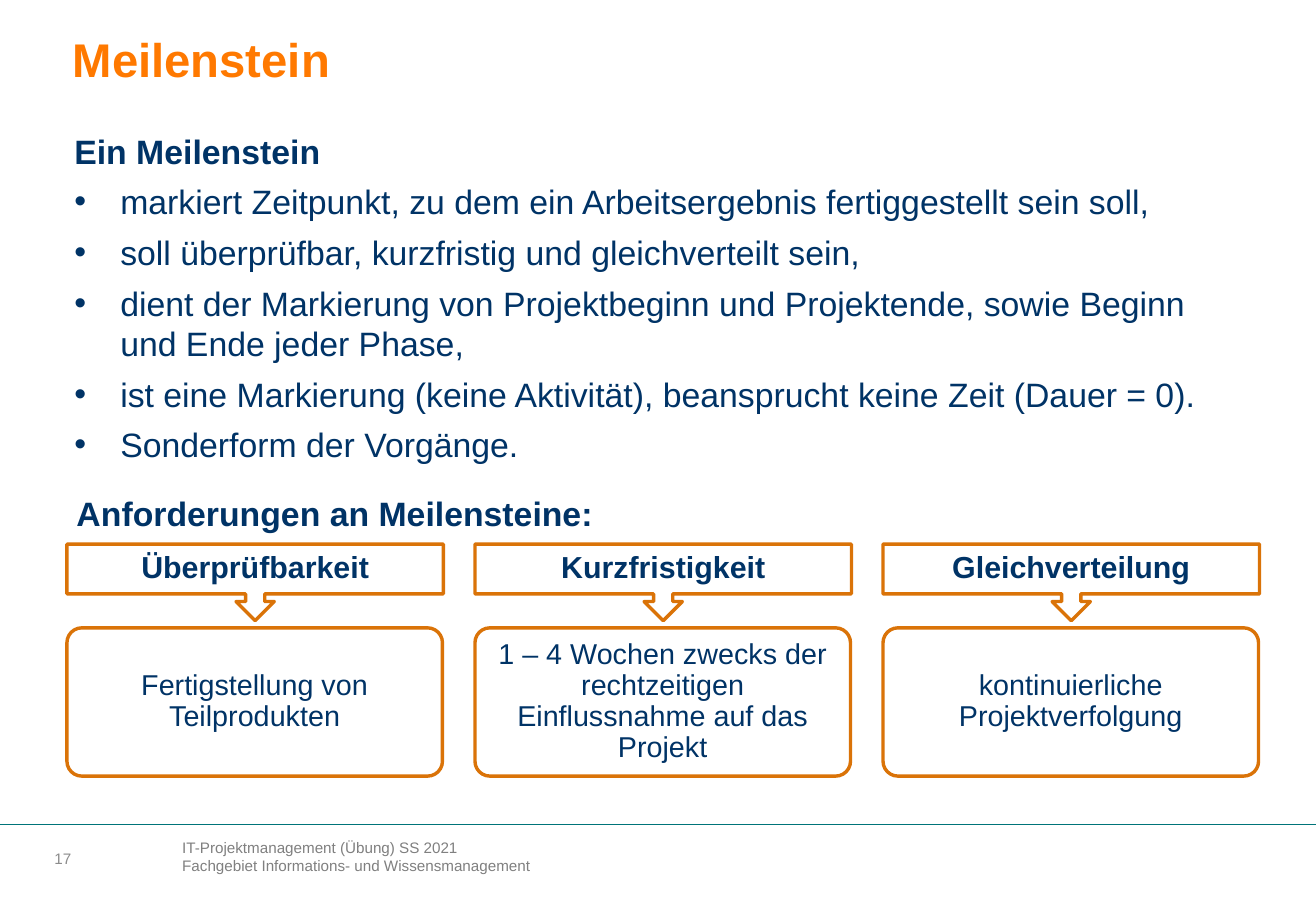
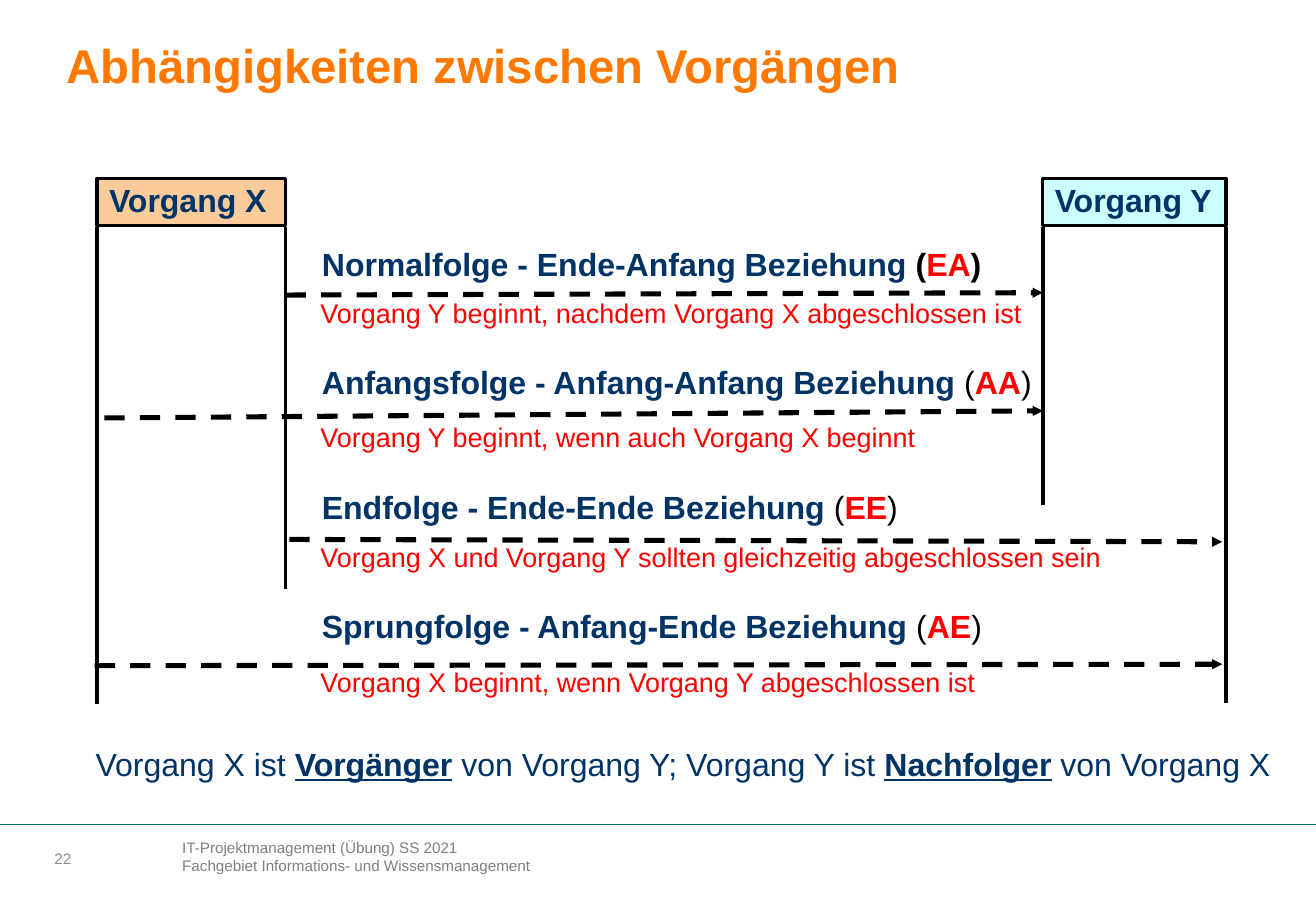
from dataclasses import dataclass

from lxml.etree import SubElement
from pptx import Presentation
from pptx.dml.color import RGBColor
from pptx.enum.dml import MSO_LINE
from pptx.enum.shapes import MSO_CONNECTOR, MSO_SHAPE
from pptx.enum.text import MSO_ANCHOR, MSO_AUTO_SIZE, PP_ALIGN
from pptx.oxml.ns import qn
from pptx.util import Cm, Pt

FONT = "Arial"
NAVY, ORANGE, RED, BLACK, WHITE = "003366", "FF7900", "FF0000", "000000", "FFFFFF"
FRAME_ORANGE, PEACH, CYAN = "DA7308", "FBCC9A", "CCFFFF"
TEAL, FOOTER_GREY, NUMBER_GREY = "007479", "808080", "8C8C8C"
SLIDE_WIDTH, SLIDE_HEIGHT = 27.51, 19.05


@dataclass
class Span:
    text: str
    color: str = NAVY
    bold: bool = False
    underline: bool = False


def rgb(value):
    return RGBColor.from_string(value)


def place(shape, left, top, width, height):
    shape.left, shape.top = Cm(left), Cm(top)
    shape.width, shape.height = Cm(width), Cm(height)


def write(para, spans, size, spacing=None):
    for span in spans:
        run = para.add_run()
        run.text = span.text
        font = run.font
        font.name, font.size, font.bold = FONT, Pt(size), span.bold
        font.underline = span.underline
        font.color.rgb = rgb(span.color)
    if spacing:
        para.line_spacing = spacing


def set_margins(frame, horizontal, vertical):
    frame.margin_left = frame.margin_right = Cm(horizontal)
    frame.margin_top = frame.margin_bottom = Cm(vertical)


def add_text(slide, area, spans, size, spacing=0.9):
    box = slide.shapes.add_textbox(*map(Cm, area))
    box.text_frame.word_wrap = True
    write(box.text_frame.paragraphs[0], spans, size, spacing)
    return box


def add_box(slide, preset, area, span, size, fill, line, margins, centred=True):
    box = slide.shapes.add_shape(preset, *map(Cm, area))
    box.shadow.inherit = False
    box.fill.solid()
    box.fill.fore_color.rgb = rgb(fill)
    box.line.color.rgb = rgb(line)
    box.line.width = Pt(2)
    frame = box.text_frame
    frame.word_wrap = True
    set_margins(frame, *margins)
    frame.vertical_anchor = MSO_ANCHOR.MIDDLE if centred else MSO_ANCHOR.TOP
    para = frame.paragraphs[0]
    para.alignment = PP_ALIGN.CENTER if centred else PP_ALIGN.LEFT
    write(para, [span], size, 0.9)
    return box


def add_line(slide, start, end, width, color=BLACK, arrow=False):
    """Draw a straight line; an arrow is dashed and has a head at its end."""
    line = slide.shapes.add_connector(
        MSO_CONNECTOR.STRAIGHT, *map(Cm, (*start, *end)))
    line.line.color.rgb = rgb(color)
    line.line.width = Pt(width)
    properties = line.element.spPr
    if arrow:
        line.line.dash_style = MSO_LINE.DASH
        SubElement(properties.find(qn("a:ln")), qn("a:tailEnd"),
                   type="triangle", w="sm", len="sm")
    SubElement(properties, qn("a:effectLst"))
    return line


def style_titles(master):
    style = master.element.find(".//" + qn("p:titleStyle")).find(qn("a:lvl1pPr"))
    style.set("algn", "l")
    defaults = style.find(qn("a:defRPr"))
    for child in list(defaults):
        defaults.remove(child)
    defaults.set("sz", "2800")
    defaults.set("b", "1")
    SubElement(SubElement(defaults, qn("a:solidFill")), qn("a:srgbClr"), val=ORANGE)
    SubElement(defaults, qn("a:latin"), typeface=FONT)


def add_master_footer(master, slide):
    """Draw the rule and footer on a slide, then move them to the master."""
    rule = add_line(slide, (0, 17.25), (SLIDE_WIDTH, 17.25), 0.5, TEAL)
    footer = add_text(slide, (3.56, 17.4, 15.3, 1.4),
                      [Span("IT-Projektmanagement (Übung) SS 2021", FOOTER_GREY)],
                      9, None)
    write(footer.text_frame.add_paragraph(),
          [Span("Fachgebiet Informations- und Wissensmanagement", FOOTER_GREY)], 9)
    for number, shape in enumerate((rule, footer), start=20):
        shape.element.find(".//" + qn("p:cNvPr")).set("id", str(number))
        master.shapes.element.append(shape.element)


def add_slide(deck, layout_name, title, left, top, number):
    slide = deck.slides.add_slide(deck.slide_layouts.get_by_name(layout_name))
    heading = slide.shapes.title
    place(heading, left, top, 25.5, 1.4)
    heading.text_frame.text = title
    heading.text_frame.auto_size = MSO_AUTO_SIZE.NONE
    page = add_text(slide, (1.14, 17.63, 1.83, 0.63),
                    [Span(number, NUMBER_GREY)], 9, None)
    set_margins(page.text_frame, 0, 0)
    page.text_frame.vertical_anchor = MSO_ANCHOR.MIDDLE
    return slide


def fill_body(body, heading, items):
    """Write a bold heading and the bulleted items below it."""
    place(body, 1.3, 2.6, 24.66, 7.3)
    frame = body.text_frame
    frame.auto_size = MSO_AUTO_SIZE.NONE
    for index, text in enumerate([heading, *items]):
        para = frame.add_paragraph() if index else frame.paragraphs[0]
        para.space_before = Pt(6 if index else 0)
        properties = para._p.get_or_add_pPr()
        indent = Cm(0.96) if index else 0
        properties.set("marL", str(indent))
        properties.set("indent", str(-indent))
        if index:
            SubElement(properties, qn("a:buFont"), typeface=FONT)
            SubElement(properties, qn("a:buChar"), char="•")
        else:
            SubElement(properties, qn("a:buNone"))
        write(para, [Span(text, bold=not index)], 20)


def fill_milestone(slide):
    fill_body(slide.placeholders[1], "Ein Meilenstein", [
        "markiert Zeitpunkt, zu dem ein Arbeitsergebnis fertiggestellt sein soll,",
        "soll überprüfbar, kurzfristig und gleichverteilt sein,",
        "dient der Markierung von Projektbeginn und Projektende, sowie Beginn "
        "und Ende jeder Phase,",
        "ist eine Markierung (keine Aktivität), beansprucht keine Zeit (Dauer = 0).",
        "Sonderform der Vorgänge.",
    ])
    subtitle = add_text(slide, (1.37, 10.44, 25, 0.69),
                        [Span("Anforderungen an Meilensteine:", bold=True)], 20)
    set_margins(subtitle.text_frame, 0.23, 0)
    subtitle.text_frame.vertical_anchor = MSO_ANCHOR.MIDDLE

    requirements = [
        ("Überprüfbarkeit", "Fertigstellung von Teilprodukten"),
        ("Kurzfristigkeit",
         "1 – 4 Wochen zwecks der rechtzeitigen Einflussnahme auf das Projekt"),
        ("Gleichverteilung", "kontinuierliche Projektverfolgung"),
    ]
    for column, (name, meaning) in enumerate(requirements):
        left = 1.4 + column * 8.53
        add_box(slide, MSO_SHAPE.DOWN_ARROW_CALLOUT, (left, 11.38, 7.87, 1.6),
                Span(name, bold=True), 18, WHITE, FRAME_ORANGE, (0.18, 0))
        card = add_box(slide, MSO_SHAPE.ROUNDED_RECTANGLE, (left, 13.13, 7.85, 3.1),
                       Span(meaning), 17, WHITE, FRAME_ORANGE, (0.2, 0.1))
        card.adjustments[0] = 0.1


def fill_dependencies(slide):
    x_start, x_end, y_start, y_end = 2.03, 5.97, 21.8, 25.63
    for name, left, right, fill in (("Vorgang X", x_start, x_end, PEACH),
                                    ("Vorgang Y", y_start, y_end, CYAN)):
        add_box(slide, MSO_SHAPE.RECTANGLE, (left, 3.73, right - left, 0.99),
                Span(name, bold=True), 19, fill, BLACK, (0.25, 0.13), centred=False)
    for x, bottom in ((x_start, 14.73), (x_end, 12.32),
                      (y_start, 10.57), (y_end, 14.71)):
        add_line(slide, (x, 4.75), (x, bottom), 2.25)

    relations = [
        ("Normalfolge - Ende-Anfang", "EA", True, 5.08,
         (x_end, 6.17), (y_start, 6.12), 6.15,
         "Vorgang Y beginnt, nachdem Vorgang X abgeschlossen ist"),
        ("Anfangsfolge - Anfang-Anfang", "AA", False, 7.54,
         (2.18, 8.74), (y_start, 8.59), 8.74,
         "Vorgang Y beginnt, wenn auch Vorgang X beginnt"),
        ("Endfolge - Ende-Ende", "EE", False, 10.16,
         (6.05, 11.28), (25.55, 11.33), 11.25,
         "Vorgang X und Vorgang Y sollten gleichzeitig abgeschlossen sein"),
        ("Sprungfolge - Anfang-Ende", "AE", False, 12.65,
         (1.98, 13.92), (25.55, 13.89), 13.87,
         "Vorgang X beginnt, wenn Vorgang Y abgeschlossen ist"),
    ]
    for name, code, bold_brackets, name_top, start, end, rule_top, rule in relations:
        add_text(slide, (6.48, name_top, 18, 0.99), [
            Span(f"{name} Beziehung ", bold=True),
            Span("(", BLACK, bold_brackets),
            Span(code, RED, True),
            Span(")", BLACK, bold_brackets),
        ], 19)
        add_line(slide, start, end, 3, arrow=True)
        add_text(slide, (6.45, rule_top, 18, 0.86), [Span(rule, RED)], 16)

    add_text(slide, (1.75, 15.54, 25.6, 0.99), [
        Span("Vorgang X ist "),
        Span("Vorgänger", bold=True, underline=True),
        Span(" von Vorgang Y; Vorgang Y ist "),
        Span("Nachfolger", bold=True, underline=True),
        Span(" von Vorgang X"),
    ], 19)


def main():
    deck = Presentation()
    deck.slide_width, deck.slide_height = Cm(SLIDE_WIDTH), Cm(SLIDE_HEIGHT)
    style_titles(deck.slide_master)

    milestone = add_slide(deck, "Title and Content", "Meilenstein", 1.27, 0.53, "17")
    add_master_footer(deck.slide_master, milestone)
    fill_milestone(milestone)

    dependencies = add_slide(deck, "Title Only", "Abhängigkeiten zwischen Vorgängen",
                             1.14, 0.66, "22")
    fill_dependencies(dependencies)
    deck.save("out.pptx")


if __name__ == "__main__":
    main()
